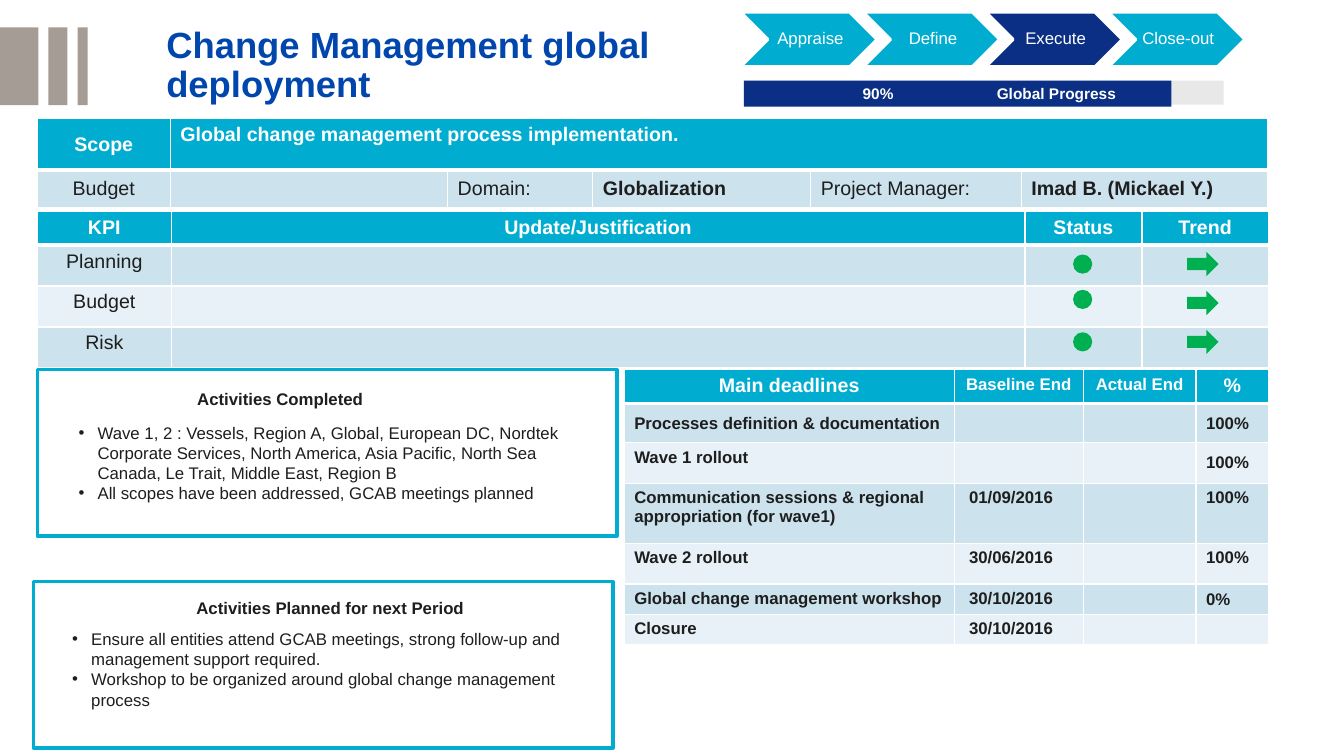
"""Build the one-page status report of the change management deployment project."""
from lxml.etree import SubElement
from pptx import Presentation
from pptx.dml.color import RGBColor
from pptx.enum.shapes import MSO_SHAPE
from pptx.enum.text import MSO_ANCHOR, MSO_AUTO_SIZE, PP_ALIGN
from pptx.oxml import parse_xml
from pptx.oxml.ns import nsdecls, qn
from pptx.util import Cm, Pt

COLORS = {"title": "0046AD", "cyan": "00ADD0", "navy": "0A2F85", "taupe": "A59D95",
          "track": "E8E8E8", "band": "CCE3EE", "light": "E7F1F7", "text": "1E1E1E",
          "white": "FFFFFF", "green": "00B050"}
TITLE = "Change Management global\ndeployment"
BARS = [(0, 0.97), (1.22, 0.48), (1.96, 0.25)]
STAGES = ["Appraise", "Define", "Execute", "Close-out"]
CURRENT_STAGE = "Execute"
PROGRESS_LABELS = [("90%", 21.49, 1.91), ("Global Progress", 24.87, 3.66)]

SCOPE_ROWS = [
    ["Scope", "Global change management process implementation.", "", "", "", ""],
    ["Budget", "", "Domain:", "Globalization", "Project Manager:", "Imad B. (Mickael Y.)"],
]
KPI_ROWS = [
    ["KPI", "Update/Justification", "Status", "Trend"],
    ["Planning", "", "", ""],
    ["Budget", "", "", ""],
    ["Risk", "", "", ""],
]
DEADLINE_ROWS = [
    ["Main deadlines", "Baseline End", "Actual End", "%"],
    ["Processes definition & documentation", "", "", "100%"],
    ["Wave 1 rollout", "", "", "100%"],
    ["Communication sessions & regional appropriation (for wave1)", "01/09/2016", "", "100%"],
    ["Wave 2 rollout", "30/06/2016", "", "100%"],
    ["Global change management workshop", "30/10/2016", "", "0%"],
    ["Closure", "30/10/2016", "", ""],
]
DEADLINE_MIDDLE = {(1, 0), (1, 3), (2, 3), (5, 3)}
PANELS = [
    {"frame": (0.94, 9.32), "heading": "Activities Completed", "heading_at": (4.72, 9.68),
     "list_at": (1.73, 10.52), "items": [
         "Wave 1, 2 : Vessels, Region A, Global, European DC, Nordtek Corporate Services, "
         "North America, Asia Pacific, North Sea Canada, Le Trait, Middle East, Region B",
         "All scopes have been addressed, GCAB meetings planned"]},
    {"frame": (0.84, 14.66), "heading": "Activities Planned for next Period",
     "heading_at": (4.7, 14.94), "list_at": (1.57, 15.72), "items": [
         "Ensure all entities attend GCAB meetings, strong follow-up and management "
         "support required.",
         "Workshop to be organized around global change management process"]},
]
DOT_TOPS = [6.45, 7.34, 8.41]


def color(name):
    return RGBColor.from_string(COLORS[name])


def style(para, size, ink, bold=False):
    para.font.name = "Arial"
    para.font.size = Pt(size)
    para.font.bold = bold
    para.font.color.rgb = color(ink)


def add_shape(page, kind, left, top, width, height, fill, line=None, weight=2):
    shape = page.shapes.add_shape(kind, Cm(left), Cm(top), Cm(width), Cm(height))
    shape.shadow.inherit = False
    shape.fill.solid()
    shape.fill.fore_color.rgb = color(fill)
    if line:
        shape.line.color.rgb = color(line)
        shape.line.width = Pt(weight)
    else:
        shape.line.fill.background()
    return shape


def add_text(page, lines, left, top, width, height, size, ink, bold=False, bullets=False):
    box = page.shapes.add_textbox(Cm(left), Cm(top), Cm(width), Cm(height))
    frame = box.text_frame
    frame.word_wrap = True
    frame.text = "\n".join(lines)
    for para in frame.paragraphs:
        if bullets:
            properties = para._p.get_or_add_pPr()
            properties.set("marL", str(Cm(0.48)))
            properties.set("indent", str(-Cm(0.48)))
            SubElement(properties, qn("a:buFont"), typeface="Arial")
            SubElement(properties, qn("a:buChar"), char="•")
        style(para, size, ink, bold)


def add_borders(cell, row):
    weights = {"L": 1, "R": 1, "T": 3 if row == 1 else 1, "B": 3 if row == 0 else 1}
    properties = cell._tc.get_or_add_tcPr()
    for position, (side, weight) in enumerate(weights.items()):
        properties.insert(position, parse_xml(
            f'<a:ln{side} {nsdecls("a")} w="{Pt(weight)}"><a:solidFill>'
            f'<a:srgbClr val="{COLORS["white"]}"/></a:solidFill></a:ln{side}>'))


def add_table(page, left, top, widths, heights, rows, cell_format):
    table = page.shapes.add_table(len(rows), len(widths), Cm(left), Cm(top),
                                  Cm(sum(widths)), Cm(sum(heights))).table
    table.horz_banding = False
    for column, width in zip(table.columns, widths):
        column.width = Cm(width)
    for row, (values, height) in enumerate(zip(rows, heights)):
        table.rows[row].height = Cm(height)
        fill = "cyan" if row == 0 else "band" if row % 2 else "light"
        for column, value in enumerate(values):
            size, bold, centered, middle = cell_format(row, column)
            cell = table.cell(row, column)
            add_borders(cell, row)
            cell.fill.solid()
            cell.fill.fore_color.rgb = color(fill)
            cell.vertical_anchor = MSO_ANCHOR.MIDDLE if middle else MSO_ANCHOR.TOP
            cell.text = value
            para = cell.text_frame.paragraphs[0]
            para.alignment = PP_ALIGN.CENTER if centered else PP_ALIGN.LEFT
            style(para, size, "white" if row == 0 else "text", bold)
            if not value:
                SubElement(para._p, qn("a:endParaRPr"), sz=str(size * 100))
    return table


def add_title(page):
    title = page.shapes.title
    title.left, title.top, title.width, title.height = Cm(4.19), Cm(0.71), Cm(28.85), Cm(1.93)
    frame = title.text_frame
    frame.margin_left = frame.margin_right = frame.margin_top = frame.margin_bottom = 0
    frame.auto_size = MSO_AUTO_SIZE.NONE
    frame.vertical_anchor = MSO_ANCHOR.MIDDLE
    frame.text = TITLE
    for para in frame.paragraphs:
        para.alignment = PP_ALIGN.LEFT
        para.line_spacing = 0.9
        para.space_before = Pt(0)
        style(para, 26, "title", True)


def add_progress(page):
    for index, stage in enumerate(STAGES):
        fill = "navy" if stage == CURRENT_STAGE else "cyan"
        chevron = add_shape(page, MSO_SHAPE.CHEVRON, 18.67 + 3.09 * index, 0.31,
                            3.43, 1.37, fill, "white")
        frame = chevron.text_frame
        frame.margin_left = Cm(0.13)
        frame.margin_right = frame.margin_top = frame.margin_bottom = Cm(0.05)
        frame.vertical_anchor = MSO_ANCHOR.MIDDLE
        frame.word_wrap = False
        frame.text = stage
        frame.paragraphs[0].alignment = PP_ALIGN.CENTER
        frame.paragraphs[0].line_spacing = 0.9
        style(frame.paragraphs[0], 12, "white")
    add_shape(page, MSO_SHAPE.RECTANGLE, 18.75, 2.03, 12.09, 0.61, "track")
    add_shape(page, MSO_SHAPE.RECTANGLE, 18.75, 2.03, 10.77, 0.66, "navy")
    for label, left, width in PROGRESS_LABELS:
        add_text(page, [label], left, 1.99, width, 0.74, 11, "white", True)


def main():
    deck = Presentation()
    deck.slide_width, deck.slide_height = Cm(33.87), Cm(19.05)
    page = deck.slides.add_slide(deck.slide_layouts[5])
    for left, width in BARS:
        add_shape(page, MSO_SHAPE.RECTANGLE, left, 0.69, width, 1.96, "taupe")
    add_title(page)
    add_progress(page)

    scope = add_table(page, 0.94, 2.99, [3.35, 6.99, 3.66, 5.49, 5.31, 6.2], [1.3, 0.94], SCOPE_ROWS,
                      lambda row, column: (14, row == 0 or column in (3, 5), column == 0,
                                           (row, column) != (0, 1)))
    scope.cell(0, 1).merge(scope.cell(0, 5))
    add_table(page, 0.94, 5.33, [3.38, 21.51, 2.95, 3.18], [0.84] + [1.03] * 3, KPI_ROWS,
              lambda row, column: (14, row == 0, True, False))
    for panel in PANELS:
        add_shape(page, MSO_SHAPE.RECTANGLE, *panel["frame"], 14.61, 4.19, "white", "cyan", 2.25)
        add_text(page, [panel["heading"]], *panel["heading_at"], 7.34, 0.76, 12, "text", True)
        add_text(page, panel["items"], *panel["list_at"], 13.59, 2.82, 12, "text", bullets=True)
    deadlines = add_table(page, 15.73, 9.32, [8.32, 3.25, 2.84, 1.83],
                          [0.84, 0.99, 1.02, 1.52, 1.02, 0.76, 0.76], DEADLINE_ROWS,
                          lambda row, column: (14 if row == 0 and column in (0, 3) else 12, True,
                                               row == 0, (row, column) in DEADLINE_MIDDLE))
    for row in range(1, len(DEADLINE_ROWS)):
        deadlines.cell(row, 1).margin_left = Cm(0.37)
    for index, dot_top in enumerate(DOT_TOPS):
        add_shape(page, MSO_SHAPE.OVAL, 27.08, dot_top, 0.41, 0.41, "green", "green")
        add_shape(page, MSO_SHAPE.RIGHT_ARROW, 29.92, 6.35 + 0.98 * index, 0.79, 0.61, "green")
    deck.save("out.pptx")


if __name__ == "__main__":
    main()
